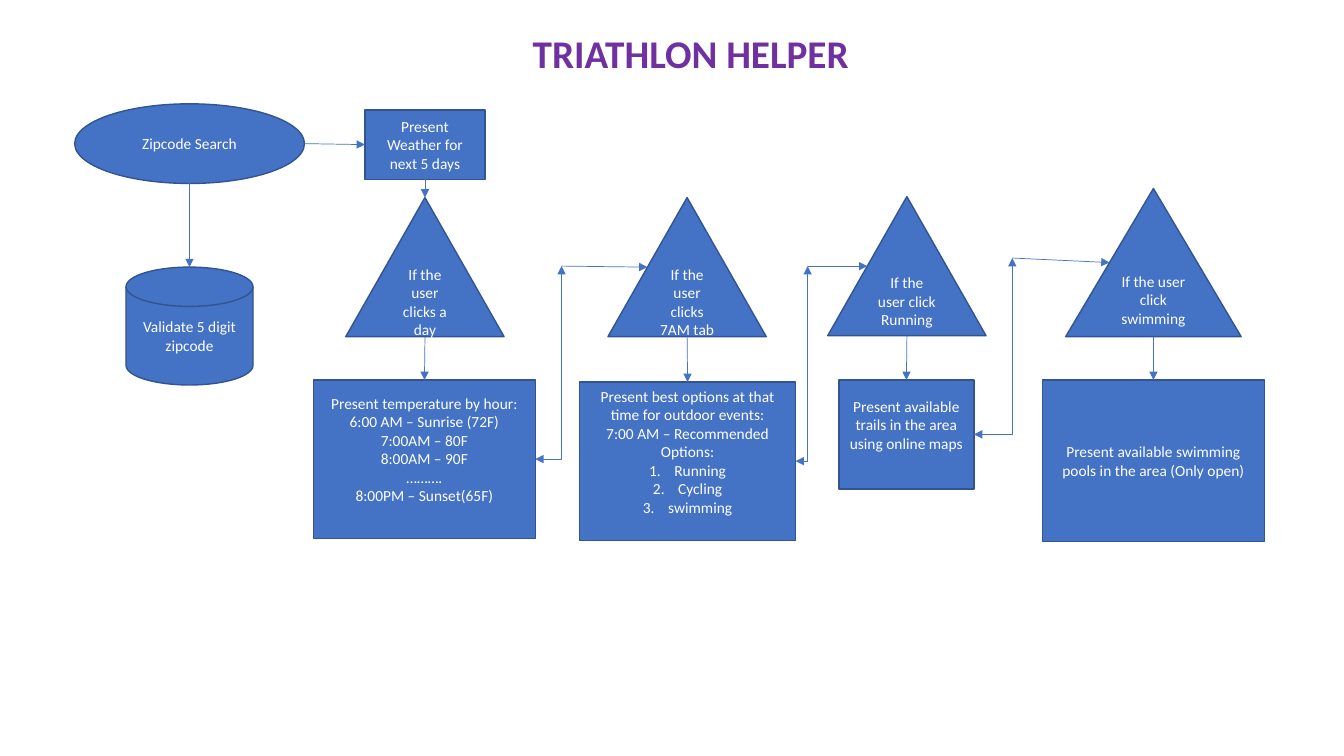
from lxml.etree import SubElement
from pptx import Presentation
from pptx.dml.color import RGBColor
from pptx.enum.shapes import MSO_CONNECTOR, MSO_SHAPE
from pptx.enum.text import MSO_ANCHOR, PP_ALIGN
from pptx.oxml.ns import qn
from pptx.util import Inches, Pt

COLORS = {"fill": "4472C4", "edge": "325491", "text": "FFFFFF", "title": "7030A0"}
FONT = "Calibri"
TITLE = ("TRIATHLON HELPER", (3.36, 0.24, 6.98, 0.57))
LINE = 0.19  # height of one text line

KINDS = {"oval": MSO_SHAPE.OVAL, "disk": MSO_SHAPE.FLOWCHART_MAGNETIC_DISK,
         "box": MSO_SHAPE.RECTANGLE, "test": MSO_SHAPE.ISOSCELES_TRIANGLE}

# name: kind, (left, top, width, height), lines, spare lines kept at the foot
NODES = {
    "search": ("oval", (0.74, 1.03, 2.28, 0.79), ["Zipcode Search"], 0),
    "zipcode": ("disk", (1.25, 2.65, 1.26, 1.17), ["Validate 5 digit zipcode"], 0),
    "weather": ("box", (3.62, 1.09, 1.19, 0.69), ["Present Weather for next 5 days"], 0),
    "hours": ("box", (3.11, 3.77, 2.2, 1.57), [
        "Present temperature by hour:", "6:00 AM – Sunrise (72F)", "7:00AM – 80F",
        "8:00AM – 90F", "……….", "8:00PM – Sunset(65F)"], 1),
    "options": ("box", (5.75, 3.79, 2.14, 1.57), [
        "Present best options at that time for outdoor events:",
        "7:00 AM – Recommended Options:", "Running", "Cycling", "swimming"], 1),
    "trails": ("box", (8.32, 3.77, 1.34, 1.08),
               ["Present available trails in the area using online maps"], 1),
    "pools": ("box", (10.34, 3.77, 2.2, 1.6),
              ["Present available swimming pools in the area (Only open)"], 0),
    "day": ("test", (3.43, 1.96, 1.57, 1.38), ["If the user clicks a day"], 0),
    "tab": ("test", (6.03, 1.96, 1.57, 1.38), ["If the user clicks 7AM tab"], 0),
    "run": ("test", (8.21, 1.95, 1.57, 1.38), ["If the user click Running"], 0),
    "swim": ("test", (10.57, 1.87, 1.74, 1.47), ["If the user click swimming"], 0),
}
NUMBERED = {"options": (2, 3, 4)}
DOWN = [("search", "zipcode"), ("weather", "day"), ("day", "hours"),
        ("tab", "options"), ("run", "trails"), ("swim", "pools")]
# box, next test, x of the riser, y of its top
RISERS = [("hours", "tab", 5.57, 2.64), ("options", "run", 8.01, 2.64),
          ("trails", "swim", 10.04, 2.56)]


def color(name):
    """Return a palette colour."""
    return RGBColor.from_string(COLORS[name])


def style(frame, size, tint, bold=False):
    """Centre the text and set its font."""
    frame.word_wrap = True
    for para in frame.paragraphs:
        para.alignment = PP_ALIGN.CENTER
        for run in para.runs:
            font = run.font
            font.name, font.size, font.bold = FONT, Pt(size), bold
            font.color.rgb = color(tint)


def number(para):
    """Turn a paragraph into a numbered item."""
    props = para._p.get_or_add_pPr()
    props.set("marL", str(Inches(0.25)))
    props.set("indent", str(-Inches(0.25)))
    SubElement(props, qn("a:buAutoNum")).set("type", "arabicPeriod")


def node(name, kind, at, lines, spare):
    """Draw one step of the flow."""
    shape = slide.shapes.add_shape(KINDS[kind], *map(Inches, at))
    shape.shadow.inherit = False
    shape.fill.solid()
    shape.fill.fore_color.rgb = color("fill")
    shape.line.color.rgb = color("edge")
    shape.line.width = Pt(1)
    frame = shape.text_frame
    frame.text = "\n".join(lines)
    frame.vertical_anchor = MSO_ANCHOR.MIDDLE
    frame.margin_bottom = Inches(0.05 + spare * LINE)
    style(frame, 11, "text")
    for index in NUMBERED.get(name, ()):
        number(frame.paragraphs[index])


def arrow(start, end, bent=False):
    """Draw an arrow; a bent one has a single corner and two heads."""
    kind = MSO_CONNECTOR.ELBOW if bent else MSO_CONNECTOR.STRAIGHT
    link = slide.shapes.add_connector(kind, *map(Inches, start + end))
    link.line.color.rgb = color("fill")
    link.line.width = Pt(0.5)
    props = link.element.spPr
    if bent:
        props.find(qn("a:prstGeom")).set("prst", "bentConnector2")
    for tag in ("a:headEnd", "a:tailEnd") if bent else ("a:tailEnd",):
        SubElement(props.find(qn("a:ln")), qn(tag)).set("type", "triangle")
    SubElement(props, qn("a:effectLst"))


def spot(name, across, down):
    """Return a point at the given fractions of a node's size."""
    left, top, width, height = NODES[name][1]
    return left + across * width, top + down * height


deck = Presentation()
deck.slide_width, deck.slide_height = Inches(13.33), Inches(7.5)
slide = deck.slides.add_slide(deck.slide_layouts[6])

for name, data in NODES.items():
    node(name, *data)
arrow(spot("search", 1, 0.5), spot("weather", 0, 0.5))
for upper, lower in DOWN:
    arrow(spot(upper, 0.5, 1), spot(lower, 0.5, 0))
for box, test, x, y in RISERS:
    arrow(spot(box, 1, 0.5), (x, y), bent=True)
    arrow((x, y), spot(test, 0.25, 0.5))

words, at = TITLE
title = slide.shapes.add_textbox(*map(Inches, at)).text_frame
title.text = words
style(title, 28, "title", bold=True)

deck.save("out.pptx")
